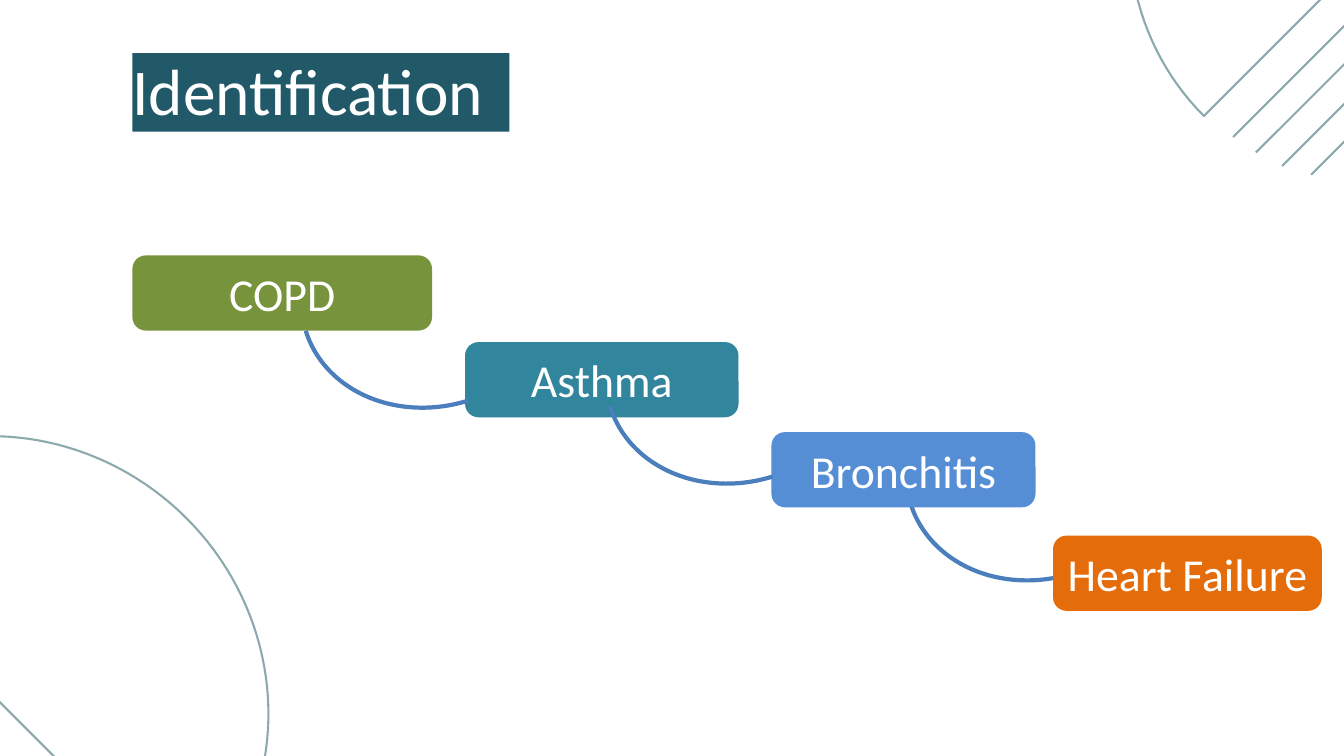
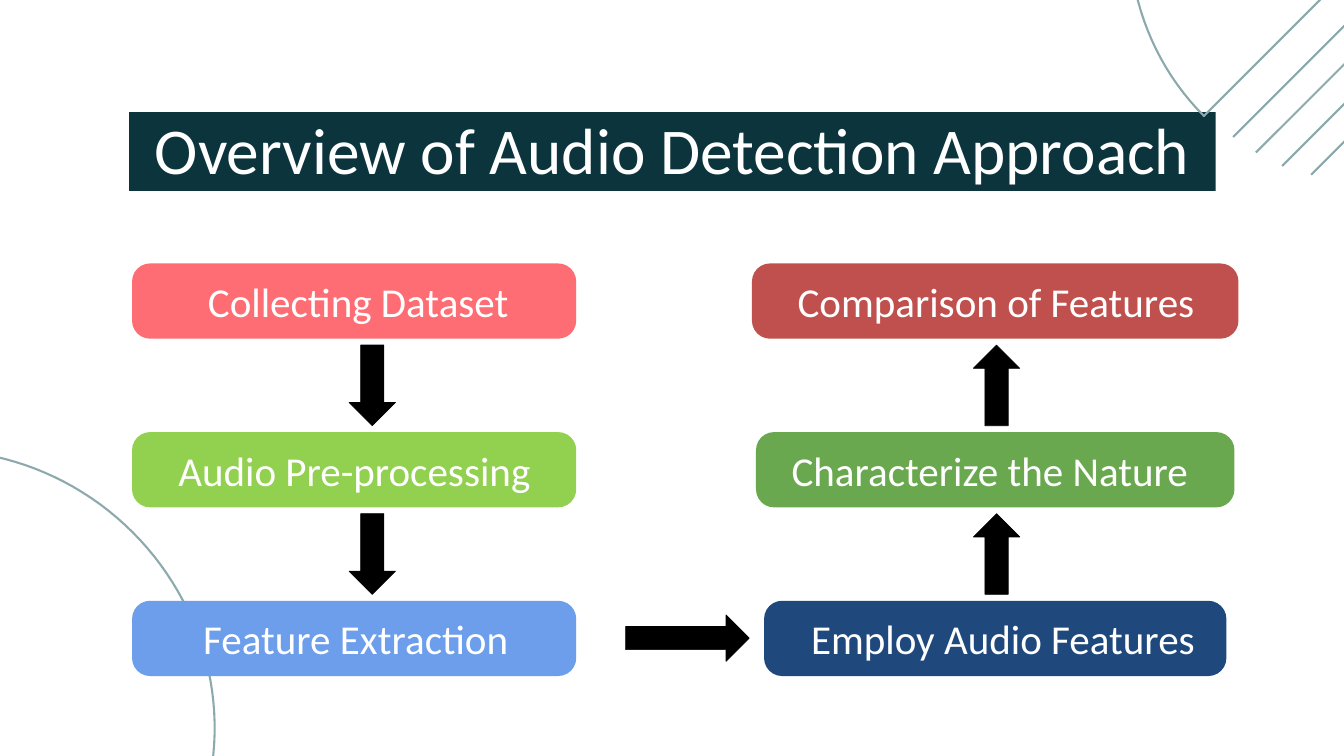
from dataclasses import dataclass
from math import cos, pi, sin

from lxml.etree import SubElement
from pptx import Presentation
from pptx.dml.color import RGBColor
from pptx.enum.shapes import MSO_CONNECTOR, MSO_SHAPE as Shape
from pptx.enum.text import MSO_ANCHOR as Anchor, PP_ALIGN as Align
from pptx.oxml.ns import qn
from pptx.util import Emu, Inches, Pt


@dataclass(frozen=True)
class Theme:
    font: str = "Calibri"
    white: str = "FFFFFF"
    black: str = "000000"
    outline: str = "8CA9AD"
    link: str = "4B7EBC"
    title_size: int = 70
    step_size: int = 49
    stage_size: int = 44
    outline_weight: float = 2.25
    link_weight: float = 4.5
    arrow_weight: float = 0.75


THEME = Theme()
WIDTH, HEIGHT = Inches(20), Inches(11.25)
COLUMNS = 20  # square grid cells across the slide
BOX_HEIGHT = 1.12
DOME_WIDTH, DOME_HEIGHT = 8.11, 3.9

# Illness chain: text, colour, left, top, width
STEPS = [
    ("COPD", "77933C", 1.97, 3.8, 4.46),
    ("Asthma", "31859C", 6.92, 5.09, 4.07),
    ("Bronchitis", "558ED5", 11.48, 6.43, 3.93),
    ("Heart Failure", "E46C0A", 15.67, 7.97, 4),
]

# Audio stages from top to bottom: text, colour, width, text indent
STAGE_TOP, STAGE_PITCH = 3.92, 2.51
LEFT_CENTRE, RIGHT_CENTRE = 5.27, 14.81
LEFT_STAGES = [
    ("Collecting Dataset", "FE6D73", 6.61, 1.05),
    ("Audio Pre-processing", "92D050", 6.61, 0.61),
    ("Feature Extraction", "6D9EEB", 6.61, 0.98),
]
RIGHT_STAGES = [
    ("Comparison of Features", "C0504D", 7.24, 0.6),
    ("Characterize the Nature", "6AA84F", 7.12, 0.45),
    ("Employ Audio Features", "1F497D", 6.88, 0.62),
]


def cells(count):
    return Emu(round(count * WIDTH / COLUMNS))


def colour(code):
    return RGBColor.from_string(code)


def style(shape, fill=None, line=None, weight=0):
    """Set fill and line, and take the shadow away."""
    shape.shadow.inherit = False
    if fill:
        shape.fill.solid()
        shape.fill.fore_color.rgb = colour(fill)
    else:
        shape.fill.background()
    if line:
        shape.line.color.rgb = colour(line)
        shape.line.width = Pt(weight)
    else:
        shape.line.fill.background()


def add_preset(page, kind, left, top, width, height, **look):
    shape = page.shapes.add_shape(kind, *map(cells, (left, top, width, height)))
    style(shape, **look)
    return shape


def write(shape, text, size, align, anchor=Anchor.MIDDLE, indent=0.0):
    frame = shape.text_frame
    frame.word_wrap = True
    frame.vertical_anchor = anchor
    frame.margin_left = cells(indent)
    frame.margin_right = frame.margin_top = frame.margin_bottom = 0
    para = frame.paragraphs[0]
    para.text = text
    para.alignment = align
    para.font.name = THEME.font
    para.font.size = Pt(size)
    para.font.color.rgb = colour(THEME.white)
    return para


def add_title(page, text, fill, left, top, width, align=Align.LEFT):
    band = add_preset(page, Shape.RECTANGLE, left, top, width, 1.17, fill=fill)
    write(band, text, THEME.title_size, align, Anchor.TOP).line_spacing = 0.99


def add_box(page, text, fill, left, top, width, size, radius, align=Align.CENTER, indent=0.0):
    box = add_preset(page, Shape.ROUNDED_RECTANGLE, left, top, width, BOX_HEIGHT, fill=fill)
    box.adjustments[0] = radius
    write(box, text, size, align, indent=indent)


def add_dome(page, left, top, rotation):
    """Outline half an ellipse, flat side down, then turn it."""
    segments = 80
    angles = [pi * step / segments for step in range(segments + 1)]
    points = [(cells(left + DOME_WIDTH / 2 * (1 - cos(angle))),
               cells(top + DOME_HEIGHT * (1 - sin(angle)))) for angle in angles]
    builder = page.shapes.build_freeform(*points[0], scale=1.0)
    builder.add_line_segments(points[1:], close=True)
    dome = builder.convert_to_shape()
    style(dome, line=THEME.outline, weight=THEME.outline_weight)
    dome.rotation = rotation


def add_ray(page, left, bottom, reach):
    """Draw a line that climbs to the right at 45 degrees."""
    ends = (left, bottom, left + reach, bottom - reach)
    ray = page.shapes.add_connector(MSO_CONNECTOR.STRAIGHT, *map(cells, ends))
    ray.line.color.rgb = colour(THEME.outline)
    ray.line.width = Pt(THEME.outline_weight)
    SubElement(ray._element.spPr, qn("a:effectLst"))


def add_decoration(page, dome_left, dome_top):
    add_dome(page, dome_left, dome_top, 45)
    add_dome(page, 15.35, -4.47, 315)
    for ray in [(18.35, 2.04, 5.64), (18.69, 2.27, 5.51),
                (19.08, 2.47, 5.33), (19.51, 2.6, 5.13)]:
        add_ray(page, *ray)


def add_link(page, left, top):
    arc = add_preset(page, Shape.ARC, left, top, 3.99, 3.42,
                     line=THEME.link, weight=THEME.link_weight)
    arc.rotation = 162.7


def add_arrow(page, centre, top, length, rotation=0):
    arrow = add_preset(page, Shape.RIGHT_ARROW, centre - length / 2, top, length, 0.69,
                       fill=THEME.black, line=THEME.black, weight=THEME.arrow_weight)
    arrow.rotation = rotation


def add_stages(page, stages, centre, arrow_centre, rotation):
    for row, (text, fill, width, indent) in enumerate(stages):
        top = STAGE_TOP + row * STAGE_PITCH
        add_box(page, text, fill, centre - width / 2, top, width,
                THEME.stage_size, 0.24, Align.LEFT, indent)
        if row:
            add_arrow(page, arrow_centre, top - 1.04, 1.2, rotation)


def build_identification(page):
    add_title(page, "Identification", "215968", 1.97, 0.79, 5.61)
    add_decoration(page, -2.66, 7.14)
    add_link(page, 13.46, 5.19)  # runs behind the boxes
    for text, fill, left, top, width in STEPS:
        add_box(page, text, fill, left, top, width, THEME.step_size, 0.18)
    add_link(page, 4.46, 2.62)
    add_link(page, 8.99, 3.75)


def build_overview(page):
    add_title(page, "Overview of Audio Detection Approach", "0C343D",
              1.92, 1.67, 16.17, Align.CENTER)
    add_decoration(page, -3.46, 7.35)
    add_stages(page, LEFT_STAGES, LEFT_CENTRE, 5.54, 90)
    add_stages(page, RIGHT_STAGES, RIGHT_CENTRE, 14.83, 270)
    add_arrow(page, 10.23, 9.15, 1.84)


def main():
    deck = Presentation()
    deck.slide_width, deck.slide_height = WIDTH, HEIGHT
    blank = deck.slide_layouts[6]
    for build in (build_identification, build_overview):
        build(deck.slides.add_slide(blank))
    deck.save("out.pptx")


if __name__ == "__main__":
    main()
